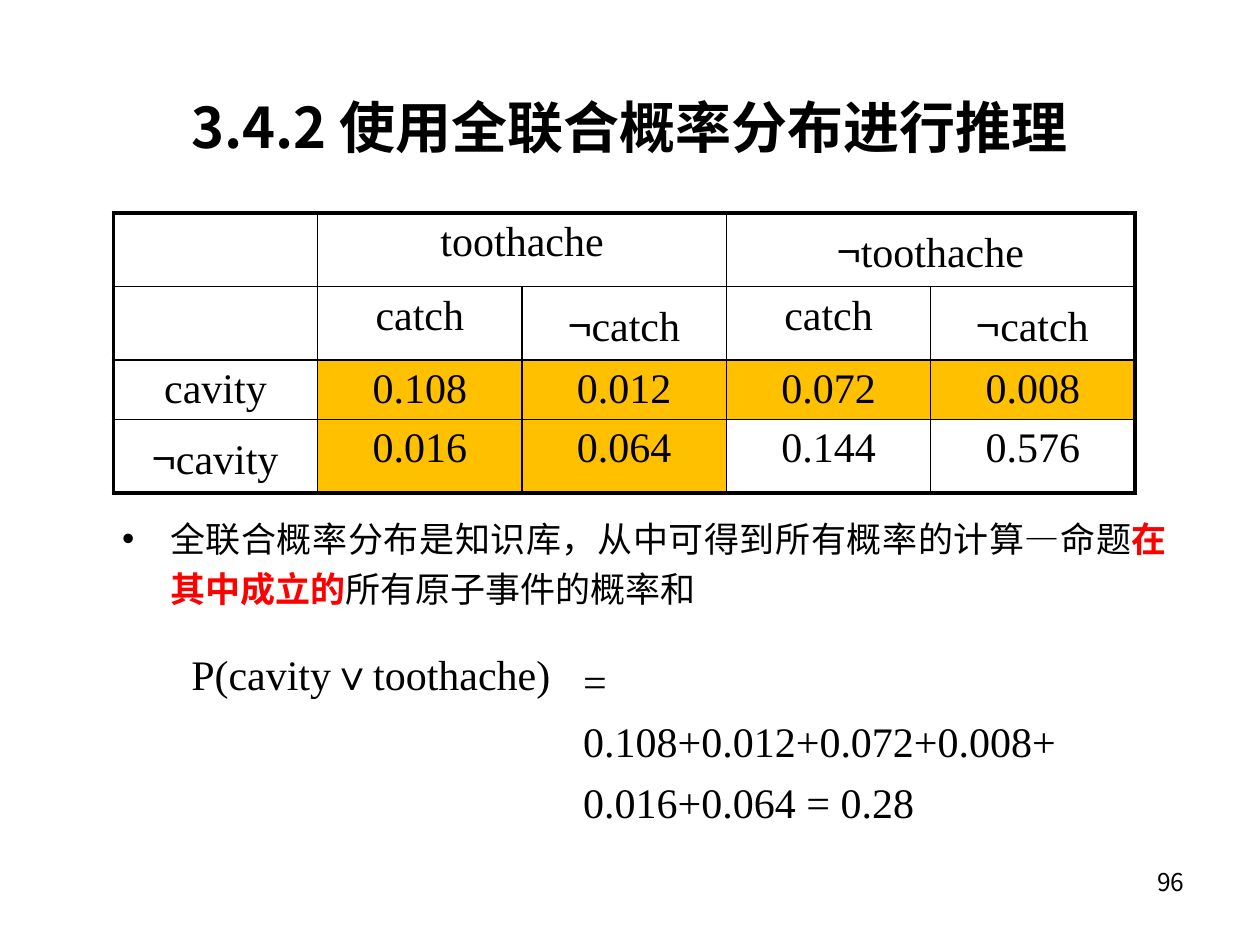
from dataclasses import dataclass

from lxml import etree
from pptx import Presentation
from pptx.dml.color import RGBColor
from pptx.enum.text import MSO_ANCHOR, MSO_AUTO_SIZE, PP_ALIGN
from pptx.oxml.ns import qn
from pptx.util import Inches, Pt

LEFT, CENTER, RIGHT, JUSTIFY = (
    PP_ALIGN.LEFT, PP_ALIGN.CENTER, PP_ALIGN.RIGHT, PP_ALIGN.JUSTIFY)
TOP, MIDDLE = MSO_ANCHOR.TOP, MSO_ANCHOR.MIDDLE
NO_AUTOSIZE = MSO_AUTO_SIZE.NONE


@dataclass(frozen=True)
class Theme:
    """Colours, fonts and type sizes of the slide."""
    ink: str = "000000"
    accent: str = "FF0000"
    highlight: str = "FFC000"
    serif: str = "Times New Roman"
    chinese: str = "Noto Sans CJK SC"
    number_font: str = "Noto Sans CJK KR"
    title_size: int = 32
    body_size: int = 20
    table_size: int = 24
    number_size: int = 14
    inner_line: float = 1
    outer_line: float = 2.25


THEME = Theme()
NEGATION = "¬"
JOINT_TABLE = [
    ["", "toothache", "", "¬toothache", ""],
    ["", "catch", "¬catch", "catch", "¬catch"],
    ["cavity", "0.108", "0.012", "0.072", "0.008"],
    ["¬cavity", "0.016", "0.064", "0.144", "0.576"],
]
ROW_HEIGHTS = [0.58, 0.58, 0.47, 0.58]
HIGHLIGHTED = {(2, column) for column in range(1, 5)} | {(3, 1), (3, 2)}


def add_run(paragraph, text, size, font=THEME.serif, color=THEME.ink, bold=False):
    """Add a run with its Latin and East Asian fonts."""
    run = paragraph.add_run()
    run.text = text
    formats = {"size": Pt(size), "name": font, "bold": bold}
    for name, value in formats.items():
        setattr(run.font, name, value)
    run.font.color.rgb = RGBColor.from_string(color)
    east_asian = THEME.chinese if font == THEME.serif else font
    run.font._element.find(qn("a:latin")).addnext(
        etree.Element(qn("a:ea"), typeface=east_asian))


def format_paragraph(paragraph, **formats):
    """Set paragraph attributes, with no space before by default."""
    for name, value in {"space_before": Pt(0), **formats}.items():
        setattr(paragraph, name, value)


def place(shape, box):
    """Move a shape to a box of left, top, width and height in inches."""
    for name, value in zip(("left", "top", "width", "height"), box):
        setattr(shape, name, Inches(value))


def format_frame(frame, anchor=TOP, wrap=True):
    """Set the anchor and wrapping of a text frame and return its paragraph."""
    formats = {"auto_size": NO_AUTOSIZE, "vertical_anchor": anchor, "word_wrap": wrap}
    for name, value in formats.items():
        setattr(frame, name, value)
    return frame.paragraphs[0]


def add_title(slide, box):
    """Fill the title placeholder."""
    place(slide.shapes.title, box)
    paragraph = format_frame(slide.shapes.title.text_frame, MIDDLE)
    format_paragraph(paragraph, alignment=CENTER)
    add_run(paragraph, "3.4.2 使用全联合概率分布进行推理",
            THEME.title_size, THEME.chinese, bold=True)


def add_body(slide, box):
    """Fill the body placeholder with the bulleted statement."""
    body = slide.placeholders[1]
    place(body, box)
    paragraph = format_frame(body.text_frame)
    format_paragraph(paragraph, alignment=JUSTIFY, line_spacing=1.2)
    properties = paragraph._p.get_or_add_pPr()
    properties.set("marL", str(Inches(0.38)))
    properties.set("indent", str(Inches(-0.38)))
    etree.SubElement(properties, qn("a:buFont"), typeface="Arial")
    etree.SubElement(properties, qn("a:buChar"), char="•")
    add_run(paragraph, "全联合概率分布是知识库，从中可得到所有概率的计算—命题", THEME.body_size)
    add_run(paragraph, "在其中成立的", THEME.body_size, color=THEME.accent, bold=True)
    add_run(paragraph, "所有原子事件的概率和", THEME.body_size)


def set_borders(cell, outer_sides):
    """Draw the four cell borders, heavier on the outer sides."""
    properties = cell._tc.get_or_add_tcPr()
    for side in "LRTB":
        width = THEME.outer_line if side in outer_sides else THEME.inner_line
        line = etree.SubElement(properties, qn(f"a:ln{side}"), w=str(Pt(width)))
        fill = etree.SubElement(line, qn("a:solidFill"))
        etree.SubElement(fill, qn("a:srgbClr"), val=THEME.ink)


def fill_cell(cell, text, highlighted):
    """Set the background and text of a cell."""
    if highlighted:
        cell.fill.solid()
        cell.fill.fore_color.rgb = RGBColor.from_string(THEME.highlight)
    else:
        cell.fill.background()
    paragraph = cell.text_frame.paragraphs[0]
    format_paragraph(paragraph, alignment=CENTER)
    if text.startswith(NEGATION):
        add_run(paragraph, NEGATION, THEME.table_size, THEME.chinese)
    if text:
        add_run(paragraph, text.removeprefix(NEGATION), THEME.table_size)


def add_joint_table(slide, box):
    """Add the full joint distribution table."""
    row_count, column_count = len(JOINT_TABLE), len(JOINT_TABLE[0])
    table = slide.shapes.add_table(
        row_count, column_count, *map(Inches, box)).table
    table.first_row = table.horz_banding = False
    for row, height in zip(table.rows, ROW_HEIGHTS):
        row.height = Inches(height)
    for first in (1, 3):
        table.cell(0, first).merge(table.cell(0, first + 1))
    for row, texts in enumerate(JOINT_TABLE):
        for column, text in enumerate(texts):
            cell = table.cell(row, column)
            last_column = column + (cell.span_width if cell.is_merge_origin else 1)
            edges = {"L": column == 0, "R": last_column == column_count,
                     "T": row == 0, "B": row == row_count - 1}
            set_borders(cell, [side for side, outer in edges.items() if outer])
            fill_cell(cell, text, (row, column) in HIGHLIGHTED)


def add_text(slide, box, text, size, font=THEME.serif, wrap=True, **formats):
    """Add a one-paragraph text box and return its paragraph."""
    shape = slide.shapes.add_textbox(*map(Inches, box))
    paragraph = format_frame(shape.text_frame, wrap=wrap)
    format_paragraph(paragraph, **formats)
    add_run(paragraph, text, size, font)
    return paragraph


def add_equation(slide, left_box, right_box):
    """Add the two sides of the probability equation."""
    add_text(slide, left_box, "P(cavity∨toothache)", THEME.table_size,
             wrap=False, alignment=LEFT)
    paragraph = add_text(
        slide, right_box, "=\t0.108+0.012+0.072+0.008+ 0.016+0.064 = 0.28",
        THEME.table_size, alignment=JUSTIFY, line_spacing=1.2)
    properties = paragraph._p.get_or_add_pPr()
    properties.set("marL", str(Inches(0.5)))
    tabs = etree.SubElement(properties, qn("a:tabLst"))
    etree.SubElement(tabs, qn("a:tab"), pos=str(Inches(1.05)), algn="l")


def main():
    """Build and save the slide."""
    presentation = Presentation()
    presentation.slide_width, presentation.slide_height = Inches(10), Inches(7.5)
    slide = presentation.slides.add_slide(presentation.slide_layouts[1])
    add_title(slide, (0.75, 0.6, 8.5, 0.8))
    add_body(slide, (0.87, 3.99, 8.49, 2.96))
    add_joint_table(slide, (0.9, 1.69, 8.11, sum(ROW_HEIGHTS)))
    add_equation(slide, (1.42, 5.1, 3.16, 0.51), (4.03, 5.07, 5, 1.07))
    add_text(slide, (7.17, 6.83, 2.33, 0.52), "96", THEME.number_size,
             THEME.number_font, alignment=RIGHT)
    presentation.save("out.pptx")


if __name__ == "__main__":
    main()
